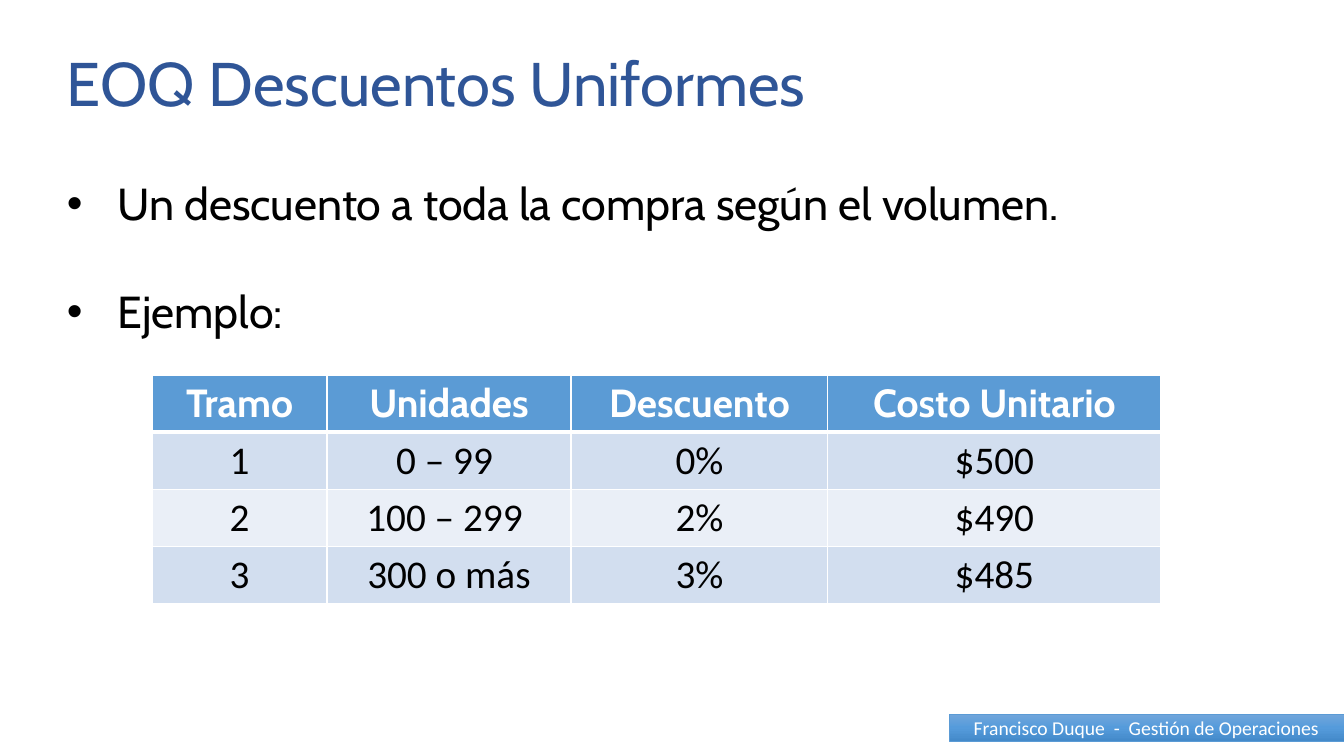
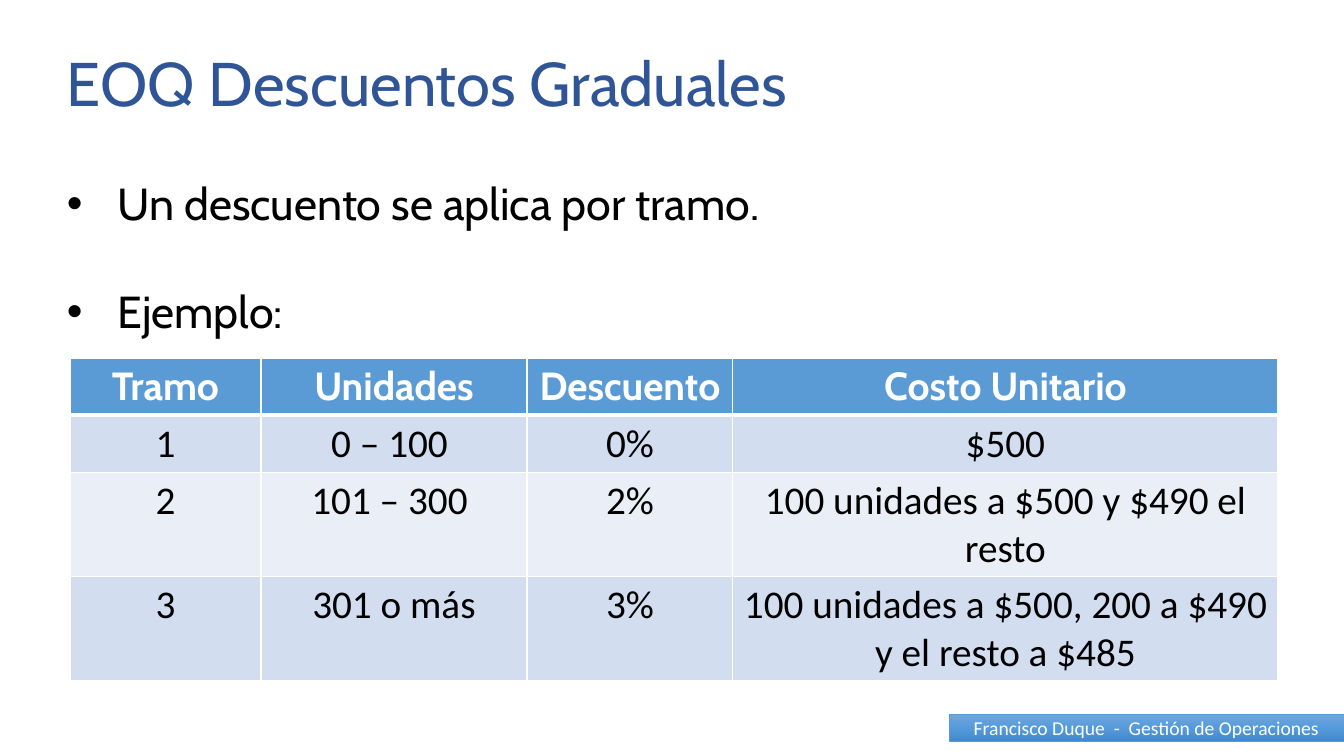
from copy import deepcopy

from pptx import Presentation
from pptx.dml.color import RGBColor
from pptx.enum.shapes import MSO_SHAPE as Shape
from pptx.enum.text import MSO_ANCHOR as Anchor, PP_ALIGN as Align
from pptx.oxml.ns import qn
from pptx.oxml.xmlchemy import OxmlElement
from pptx.util import Emu, Pt

PX = 914400 / 100.8
WHITE = RGBColor(0xFF, 0xFF, 0xFF)
BLACK = RGBColor(0x00, 0x00, 0x00)
NAVY = RGBColor(0x2F, 0x55, 0x97)
BLUE = RGBColor(0x5B, 0x9B, 0xD5)
BAND_DARK = RGBColor(0xD2, 0xDE, 0xEF)
BAND_LIGHT = RGBColor(0xEA, 0xEF, 0xF7)
FOOTER_STOPS = [
    (0, RGBColor(0x71, 0xA6, 0xDB)),
    (0.5, RGBColor(0x55, 0x9B, 0xDB)),
    (1, RGBColor(0x44, 0x8A, 0xCA)),
]

TITLE = {"name": "Cabin", "size": Pt(44)}
BODY = {"name": "Cabin", "size": Pt(32)}
HEADER = {"name": "Cabin", "size": Pt(28), "bold": True}
CELL = {"name": "Calibri", "size": Pt(28), "bold": False}
FOOTER = {"name": "Calibri", "size": Pt(14)}

FOOTER_TEXT = "Francisco Duque  -  Gestión de Operaciones"
COLUMN_NAMES = ["Tramo", "Unidades", "Descuento", "Costo Unitario"]

SLIDES = [
    {
        "title": "EOQ Descuentos Uniformes",
        "bullets": ["Un descuento a toda la compra según el volumen.", "Ejemplo:"],
        "corner": (152, 375),
        "widths": [175, 244, 257, 333],
        "heights": [57, 57, 57, 57],
        "rows": [
            ["1", "0 – 99 ", "0%", "$500"],
            ["2", "100 – 299 ", "2%", "$490"],
            ["3", "300 o más", "3%", "$485"],
        ],
    },
    {
        "title": "EOQ Descuentos Graduales",
        "bullets": ["Un descuento se aplica por tramo.", "Ejemplo:"],
        "corner": (70, 358),
        "widths": [191, 266, 206, 545],
        "heights": [57, 57, 104, 104],
        "rows": [
            ["1", "0 – 100 ", "0%", "$500"],
            ["2", "101 – 300 ", "2%", "100 unidades a $500 y $490 el resto"],
            ["3", "301 o más", "3%", "100 unidades a $500, 200 a $490 y el resto a $485"],
        ],
    },
]


def px(*lengths):
    return [Emu(round(length * PX)) for length in lengths]


def write(para, text, formats, color, align):
    para.alignment = align
    span = para.add_run()
    span.text = text
    for name, value in formats.items():
        setattr(span.font, name, value)
    span.font.color.rgb = color


deck = Presentation()
deck.slide_width, deck.slide_height = px(1344, 756)
blank = deck.slide_layouts[6]

for content in SLIDES:
    slide = deck.slides.add_slide(blank)

    footer = slide.shapes.add_shape(Shape.RECTANGLE, *px(949, 714, 395, 27))
    footer.shadow.inherit = False
    footer.fill.gradient()
    footer.fill.gradient_angle = 270
    stop_list = footer.element.spPr.find(qn("a:gradFill")).find(qn("a:gsLst"))
    stop_list.append(deepcopy(stop_list[0]))
    for stop, (position, color) in zip(footer.fill.gradient_stops, FOOTER_STOPS):
        stop.position = position
        stop.color.rgb = color
    footer.line.color.rgb = BLUE
    footer.line.width = Pt(0.5)
    footer.text_frame.vertical_anchor = Anchor.MIDDLE
    write(footer.text_frame.paragraphs[0], FOOTER_TEXT, FOOTER, WHITE, Align.CENTER)

    title = slide.shapes.add_textbox(*px(57, 40, 938, 85)).text_frame
    title.word_wrap = True
    write(title.paragraphs[0], content["title"], TITLE, NAVY, Align.LEFT)

    body = slide.shapes.add_textbox(*px(57, 171, 1249, 281)).text_frame
    body.word_wrap = True
    for index, text in enumerate(content["bullets"]):
        para = body.add_paragraph() if index else body.paragraphs[0]
        properties = para._p.get_or_add_pPr()
        properties.set("marL", "457200")
        properties.set("indent", "-457200")
        for tag, name, value in [("a:buFont", "typeface", "Arial"), ("a:buChar", "char", "•")]:
            bullet = OxmlElement(tag)
            bullet.set(name, value)
            properties.append(bullet)
        if index:
            para.space_before = Pt(38.6)
        write(para, text, BODY, BLACK, Align.JUSTIFY)

    widths, heights = content["widths"], content["heights"]
    rows = [COLUMN_NAMES] + content["rows"]
    frame = slide.shapes.add_table(
        len(rows), len(widths), *px(*content["corner"], sum(widths), sum(heights))
    )
    table = frame.table
    table.horz_banding = False
    for column, width in zip(table.columns, px(*widths)):
        column.width = width
    for row, height in zip(table.rows, px(*heights)):
        row.height = height

    for row_index, texts in enumerate(rows):
        is_header = row_index == 0
        band = BLUE if is_header else BAND_DARK if row_index % 2 else BAND_LIGHT
        borders = {
            "a:lnL": 1,
            "a:lnR": 1,
            "a:lnT": 3 if row_index == 1 else 1,
            "a:lnB": 3 if is_header else 1,
        }
        for column_index, text in enumerate(texts):
            cell = table.cell(row_index, column_index)
            properties = cell._tc.get_or_add_tcPr()
            for tag, points in borders.items():
                border = OxmlElement(tag)
                border.set("w", str(Pt(points)))
                fill = OxmlElement("a:solidFill")
                color = OxmlElement("a:srgbClr")
                color.set("val", str(WHITE))
                fill.append(color)
                border.append(fill)
                properties.append(border)
            cell.fill.solid()
            cell.fill.fore_color.rgb = band
            write(
                cell.text_frame.paragraphs[0],
                text,
                HEADER if is_header else CELL,
                WHITE if is_header else BLACK,
                Align.CENTER,
            )

deck.save("out.pptx")
